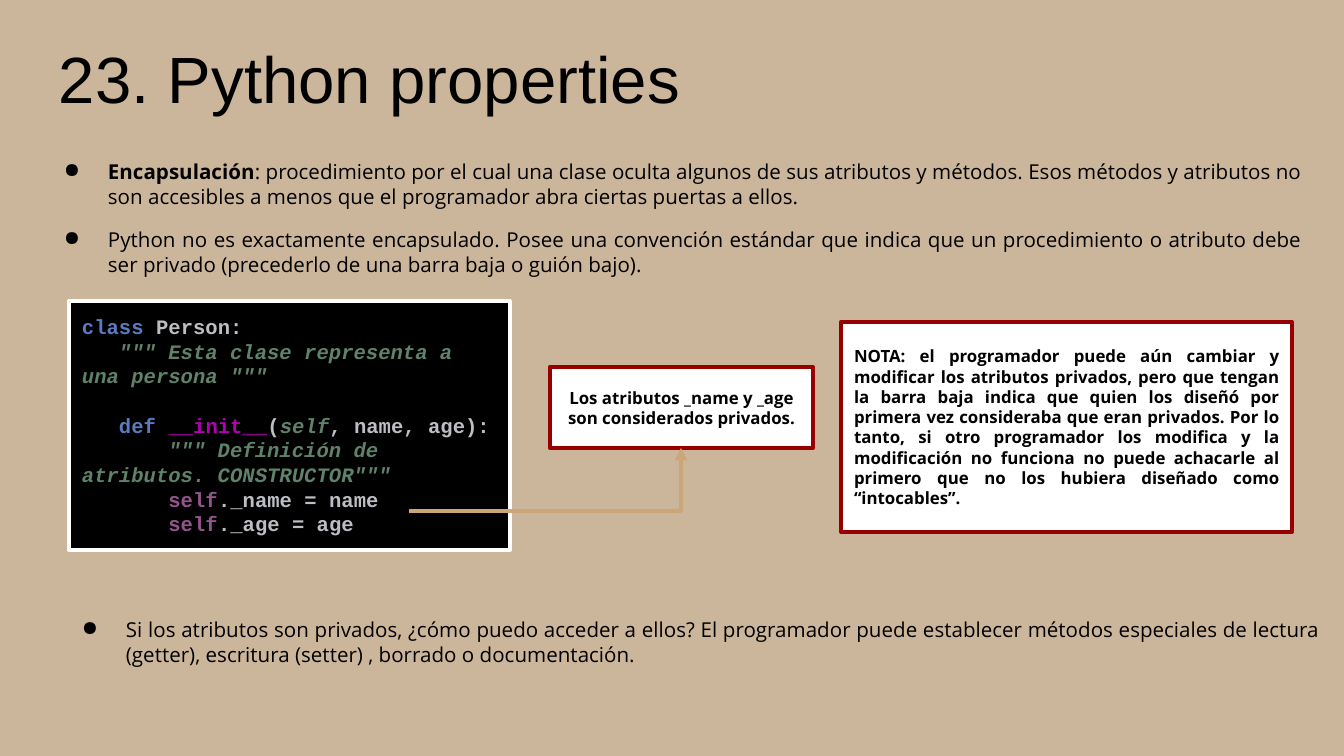
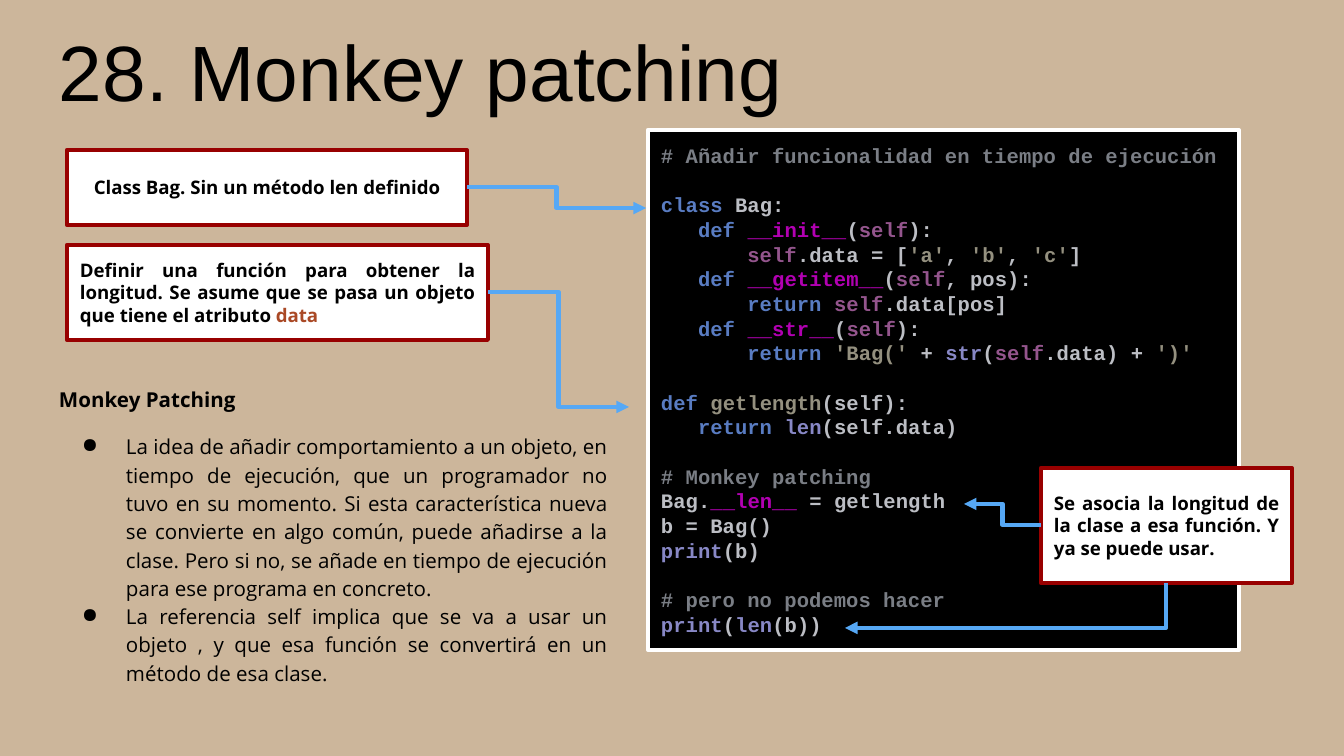
from dataclasses import dataclass

from lxml import etree
from pptx import Presentation
from pptx import util as u
from pptx.dml.color import RGBColor
from pptx.enum import shapes, text
from pptx.oxml.ns import qn

SAND = RGBColor(0xCC, 0xB6, 0x9B)
TAN = RGBColor(0xCC, 0xA6, 0x77)
BLACK = RGBColor(0x00, 0x00, 0x00)
WHITE = RGBColor(0xFF, 0xFF, 0xFF)
DARK_RED = RGBColor(0x98, 0x00, 0x00)
SKY = RGBColor(0x56, 0xA8, 0xF5)
RUST = RGBColor(0xAA, 0x49, 0x26)
PLAIN = RGBColor(0xBC, 0xBE, 0xC4)
KEYWORD = RGBColor(0x59, 0x7C, 0xC2)
DOCSTRING = RGBColor(0x5F, 0x82, 0x6B)
MAGIC = RGBColor(0xB2, 0x00, 0xB2)
SELF = RGBColor(0x94, 0x55, 0x8D)
STRING = RGBColor(0x94, 0x90, 0x7F)
BUILTIN = RGBColor(0x88, 0x88, 0xC6)
COMMENT = RGBColor(0x7A, 0x7E, 0x85)

TITLE_FONT, BODY_FONT, CODE_FONT = "Arial", "Open Sans", "Courier New"
BODY_SIZE = CODE_SIZE = 11
INSET = 13
LIST_BOTTOM_INSET = 36
BULLET_MARGIN, BULLET_HANG = 67, 44
LINE_WIDTH = 2.25

PERSON_CODE = [
    [("class ", KEYWORD), ("Person:", PLAIN)],
    [('   """ Esta clase representa a una persona """', DOCSTRING)],
    [],
    [("   def ", KEYWORD), ("__init__", MAGIC), ("(", PLAIN), ("self", DOCSTRING),
     (", name, age):", PLAIN)],
    [('       """ Definición de atributos. CONSTRUCTOR"""', DOCSTRING)],
    [("       self", SELF), ("._name = name", PLAIN)],
    [("       self", SELF), ("._age = age", PLAIN)],
]

BAG_CODE = [
    [("# Añadir funcionalidad en tiempo de ejecución", COMMENT)],
    [],
    [("class ", KEYWORD), ("Bag:", PLAIN)],
    [("   def ", KEYWORD), ("__init__", MAGIC), ("(", PLAIN), ("self", SELF), ("):", PLAIN)],
    [("       self", SELF), (".data = [", PLAIN), ("'a'", STRING), (", ", PLAIN),
     ("'b'", STRING), (", ", PLAIN), ("'c'", STRING), ("]", PLAIN)],
    [("   def ", KEYWORD), ("__getitem__", MAGIC), ("(", PLAIN), ("self", SELF),
     (", pos):", PLAIN)],
    [("       return ", KEYWORD), ("self", SELF), (".data[pos]", PLAIN)],
    [("   def ", KEYWORD), ("__str__", MAGIC), ("(", PLAIN), ("self", SELF), ("):", PLAIN)],
    [("       return ", KEYWORD), ("'Bag(' ", STRING), ("+ ", PLAIN), ("str", BUILTIN),
     ("(", PLAIN), ("self", SELF), (".data) + ", PLAIN), ("')'", STRING)],
    [],
    [("def ", KEYWORD), ("getlength", STRING), ("(self):", PLAIN)],
    [("   return ", KEYWORD), ("len", BUILTIN), ("(self.data)", PLAIN)],
    [],
    [("# Monkey patching", COMMENT)],
    [("Bag.", PLAIN), ("__len__ ", MAGIC), ("= getlength", PLAIN)],
    [("b = Bag()", PLAIN)],
    [("print", BUILTIN), ("(b)", PLAIN)],
    [],
    [("# pero no podemos hacer", COMMENT)],
    [("print", BUILTIN), ("(", PLAIN), ("len", BUILTIN), ("(b))", PLAIN)],
]


@dataclass
class Box:
    """A rectangle in px."""
    left: int
    top: int
    width: int
    height: int

    @property
    def right_middle(self):
        """Midpoint of the right side."""
        return self.left + self.width, self.top + self.height // 2

    @property
    def left_middle(self):
        """Midpoint of the left side."""
        return self.left, self.top + self.height // 2

    @property
    def bottom_middle(self):
        """Midpoint of the bottom side."""
        return self.left + self.width // 2, self.top + self.height

    def emu(self):
        """Return the four lengths in EMU."""
        return [px(value) for value in (self.left, self.top, self.width, self.height)]


def px(value):
    """Turn px into EMU."""
    return u.Emu(round(value * 914400 / 134.4))


def set_frame(shape, anchor, bottom=INSET):
    """Prepare the text frame of a shape and return it."""
    frame = shape.text_frame
    frame.word_wrap = True
    frame.auto_size = text.MSO_AUTO_SIZE.NONE
    frame.vertical_anchor = anchor
    frame.margin_left = frame.margin_right = frame.margin_top = px(INSET)
    frame.margin_bottom = px(bottom)
    return frame


def set_font(font, name, size, bold=False, colour=BLACK):
    """Set the face, size, weight and colour of a font."""
    font.name, font.size, font.bold = name, u.Pt(size), bold
    font.color.rgb = colour


def next_paragraph(frame, index):
    """Return the first paragraph, or add one for later indexes."""
    return frame.add_paragraph() if index else frame.paragraphs[0]


def add_title(slide, box, title, size):
    """Add the slide title."""
    frame = set_frame(slide.shapes.add_textbox(*box.emu()), text.MSO_ANCHOR.BOTTOM)
    paragraph = frame.paragraphs[0]
    paragraph.text = title
    set_font(paragraph.font, TITLE_FONT, size)


def add_bullet(paragraph):
    """Give a paragraph a hanging black bullet."""
    properties = paragraph._p.get_or_add_pPr()
    properties.set("marL", str(px(BULLET_MARGIN)))
    properties.set("indent", str(px(-BULLET_HANG)))
    colour = etree.SubElement(properties, qn("a:buClr"))
    etree.SubElement(colour, qn("a:srgbClr"), val=str(BLACK))
    etree.SubElement(properties, qn("a:buChar"), char="●")


def add_list(slide, box, items, heading=None, spacing=1.0, gaps=()):
    """Add justified bullets; gaps holds the paragraphs with space before."""
    frame = set_frame(slide.shapes.add_textbox(*box.emu()), text.MSO_ANCHOR.MIDDLE,
                      LIST_BOTTOM_INSET)
    entries = ([(heading, "")] if heading else []) + items
    for index, (strong, rest) in enumerate(entries):
        paragraph = next_paragraph(frame, index)
        paragraph.alignment = text.PP_ALIGN.JUSTIFY
        paragraph.line_spacing = spacing
        if index in gaps:
            paragraph.space_before = u.Pt(10)
        if strong != heading:
            add_bullet(paragraph)
        set_font(paragraph.font, BODY_FONT, BODY_SIZE)
        for content, bold in ((strong, True), (rest, False)):
            if content:
                run = paragraph.add_run()
                run.text = content
                run.font.bold = bold


def add_panel(slide, box, fill, line):
    """Add a filled and outlined rectangle."""
    shape = slide.shapes.add_shape(shapes.MSO_SHAPE.RECTANGLE, *box.emu())
    shape.shadow.inherit = False
    shape.fill.solid()
    shape.fill.fore_color.rgb = fill
    shape.line.color.rgb = line
    shape.line.width = u.Pt(LINE_WIDTH)
    return shape


def add_code(slide, box, lines):
    """Add a black panel of coloured code; docstring colour is italic."""
    frame = set_frame(add_panel(slide, box, BLACK, WHITE), text.MSO_ANCHOR.TOP)
    for index, line in enumerate(lines):
        paragraph = next_paragraph(frame, index)
        paragraph.alignment = text.PP_ALIGN.LEFT
        set_font(paragraph.font, CODE_FONT, CODE_SIZE, True, PLAIN)
        for content, colour in line:
            run = paragraph.add_run()
            run.text = content
            run.font.color.rgb = colour
            run.font.italic = colour == DOCSTRING
        if not line:
            paragraph._p.get_or_add_endParaRPr().set("sz", str(CODE_SIZE * 100))


def add_note(slide, box, content, size, alignment=text.PP_ALIGN.JUSTIFY, accent=""):
    """Add a white note with a red outline and an optional accent word."""
    frame = set_frame(add_panel(slide, box, WHITE, DARK_RED), text.MSO_ANCHOR.MIDDLE)
    paragraph = frame.paragraphs[0]
    paragraph.alignment = alignment
    set_font(paragraph.font, BODY_FONT, size, True)
    paragraph.add_run().text = content
    if accent:
        run = paragraph.add_run()
        run.text = accent
        run.font.color.rgb = RUST


def add_arrow(slide, start, end, colour, corner=False, down_first=False):
    """Add an elbow arrow; corner has one bend, down_first turns left after going down."""
    if down_first:
        middle_x, middle_y = (start[0] + end[0]) / 2, (start[1] + end[1]) / 2
        half_drop, half_run = (end[1] - start[1]) / 2, (start[0] - end[0]) / 2
        start = middle_x - half_drop, middle_y - half_run
        end = middle_x + half_drop, middle_y + half_run
    connector = slide.shapes.add_connector(
        shapes.MSO_CONNECTOR.ELBOW, *map(px, start + end))
    connector.line.color.rgb = colour
    connector.line.width = u.Pt(LINE_WIDTH)
    properties = connector._element.spPr
    if corner or down_first:
        properties.find(qn("a:prstGeom")).set("prst", "bentConnector2")
    if down_first:
        properties.find(qn("a:xfrm")).set("rot", "5400000")
    etree.SubElement(properties.find(qn("a:ln")), qn("a:tailEnd"), type="triangle")
    etree.SubElement(properties, qn("a:effectLst"))


def add_properties_slide(slide):
    """Build the slide on encapsulation and properties."""
    add_title(slide, Box(46, 8, 1253, 122), "23. Python properties", 35)
    add_list(slide, Box(28, 140, 1288, 179), [
        ("Encapsulación", ": procedimiento por el cual una clase oculta algunos de sus "
         "atributos y métodos. Esos métodos y atributos no son accesibles a menos que el "
         "programador abra ciertas puertas a ellos."),
        ("", "Python no es exactamente encapsulado. Posee una convención estándar que "
         "indica que un procedimiento o atributo debe ser privado (precederlo de una "
         "barra baja o guión bajo)."),
    ], gaps=(1,))
    add_code(slide, Box(69, 301, 441, 249), PERSON_CODE)
    private = Box(550, 367, 263, 81)
    add_note(slide, private, "Los atributos _name y _age son considerados privados.", 9,
             text.PP_ALIGN.CENTER)
    add_arrow(slide, (409, 511), private.bottom_middle, TAN, corner=True)
    add_note(slide, Box(841, 322, 451, 210),
             "NOTA: el programador puede aún cambiar y modificar los atributos privados, "
             "pero que tengan la barra baja indica que quien los diseñó por primera vez "
             "consideraba que eran privados. Por lo tanto, si otro programador los modifica "
             "y la modificación no funciona no puede achacarle al primero que no los "
             "hubiera diseñado como “intocables”.", 9)
    add_list(slide, Box(46, 564, 1288, 179), [
        ("", "Si los atributos son privados, ¿cómo puedo acceder a ellos? El programador "
         "puede establecer métodos especiales de lectura (getter), escritura (setter) , "
         "borrado o documentación."),
    ])


def add_patching_slide(slide):
    """Build the slide on monkey patching."""
    add_title(slide, Box(46, 47, 1253, 83), "28. Monkey patching", 42)
    add_list(slide, Box(46, 391, 575, 310), [
        ("", "La idea de añadir comportamiento a un objeto, en tiempo de ejecución, que un "
         "programador no tuvo en su momento. Si esta característica nueva se convierte en "
         "algo común, puede añadirse a la clase. Pero si no, se añade en tiempo de "
         "ejecución para ese programa en concreto."),
        ("", "La referencia self implica que se va a usar un objeto , y que esa función se "
         "convertirá en un método de esa clase."),
    ], heading="Monkey Patching", spacing=1.15, gaps=(1,))
    add_code(slide, Box(648, 130, 591, 520), BAG_CODE)
    bag, function, usage = (Box(67, 150, 400, 75), Box(67, 245, 421, 95),
                            Box(1041, 468, 251, 115))
    add_note(slide, bag, "Class Bag. Sin un método len definido", 10, text.PP_ALIGN.CENTER)
    add_arrow(slide, bag.right_middle, (646, 208), SKY)
    add_note(slide, function, "Definir una función para obtener la longitud. Se asume que se "
             "pasa un objeto que tiene el atributo ", 10, accent="data")
    add_arrow(slide, function.right_middle, (629, 407), SKY)
    add_note(slide, usage, "Se asocia la longitud de la clase a esa función. Y ya se puede "
             "usar.", 10)
    add_arrow(slide, usage.left_middle, (964, 504), SKY)
    add_arrow(slide, usage.bottom_middle, (845, 628), SKY, down_first=True)


def main():
    """Build and save the presentation."""
    presentation = Presentation()
    presentation.slide_width, presentation.slide_height = px(1344), px(756)
    background = presentation.slide_master.background.fill
    background.solid()
    background.fore_color.rgb = SAND
    for build in (add_properties_slide, add_patching_slide):
        build(presentation.slides.add_slide(presentation.slide_layouts[6]))
    presentation.save("out.pptx")


if __name__ == "__main__":
    main()
